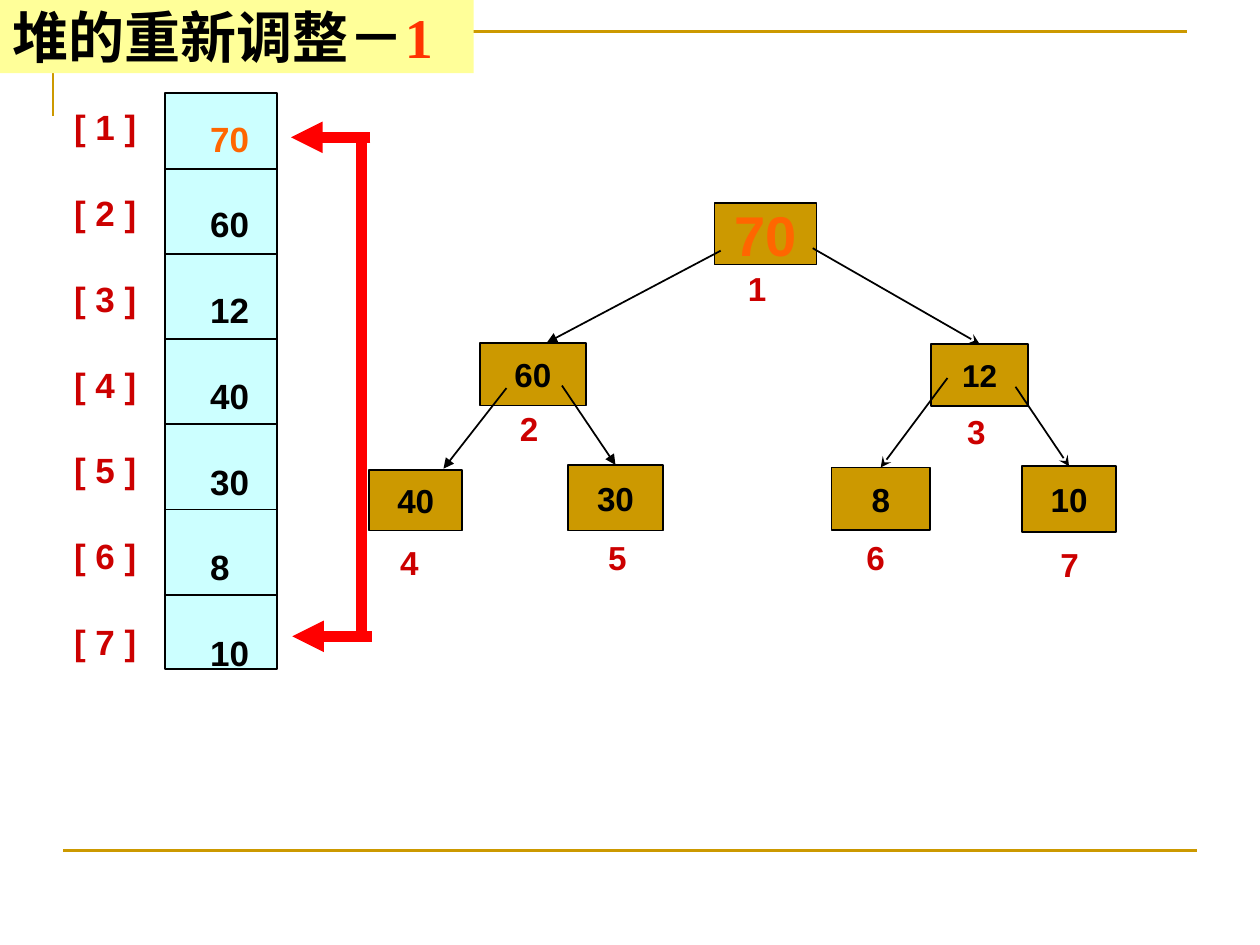
"""Build a slide showing a heap as an array and as a binary tree before re-adjustment."""
from lxml import etree
from pptx import Presentation
from pptx import util as u
from pptx.dml.color import RGBColor
from pptx.enum import shapes, text
from pptx.oxml.ns import qn

COLORS = {"gold": "CC9900", "cell": "CCFFFF", "banner": "FFFF99", "black": "000000",
          "index": "CC0000", "root": "FF6600", "step": "FF3300", "swap": "FF0000"}

TITLE = [("堆的重新调整－", "black"), ("1", "step")]
HEAP = [70, 60, 12, 40, 30, 8, 10]
ARRAY = (1.31, 0.74, 0.89, 4.57)
FIRST_DIVIDER, DIVIDER_GAP = 1.34, 0.676

NODES = [
    {"rect": (5.67, 1.61, 0.81, 0.49), "size": 32, "index": (6.01, 2.29)},
    {"rect": (3.81, 2.72, 0.84, 0.5), "size": 19, "index": (4.2, 3.4)},
    {"rect": (7.39, 2.73, 0.77, 0.49), "size": 18, "index": (7.75, 3.42)},
    {"rect": (2.93, 3.73, 0.74, 0.48), "size": 19, "index": (3.25, 4.46)},
    {"rect": (4.51, 3.69, 0.75, 0.52), "size": 19, "index": (4.9, 4.42)},
    {"rect": (6.6, 3.71, 0.78, 0.5), "size": 19, "index": (6.95, 4.42)},
    {"rect": (8.11, 3.7, 0.75, 0.52), "size": 19, "index": (8.49, 4.48)},
]
EDGES = [
    {"start": (5.72, 1.99), "end": (4.34, 2.72), "head": "triangle"},
    {"start": (6.45, 1.97), "child": 3, "head": "stealth"},
    {"start": (4.02, 3.08), "end": (3.52, 3.72), "head": "triangle"},
    {"start": (4.46, 3.06), "child": 5, "head": "triangle"},
    {"start": (7.52, 3), "child": 6, "head": "stealth"},
    {"start": (8.06, 3.07), "child": 7, "head": "stealth"},
]
SWAP = [
    ((2.87, 1.13), (2.87, 5.04), None),
    ((2.94, 1.09), (2.31, 1.09), "triangle"),
    ((2.95, 5.05), (2.32, 5.05), "triangle"),
]


def rgb(name):
    return RGBColor.from_string(COLORS[name])


def inches(values):
    return [u.Inches(value) for value in values]


def add_line(page, start, end, color="black", width=1, head=None):
    line = page.shapes.add_connector(shapes.MSO_CONNECTOR.STRAIGHT, *inches(start + end))
    line.line.color.rgb = rgb(color)
    line.line.width = u.Pt(width)
    if head:
        etree.SubElement(line.line._get_or_add_ln(), qn("a:tailEnd"), type=head)
    etree.SubElement(line._element.spPr, qn("a:effectLst"))
    return line


def add_rect(page, place, fill, outlined=True):
    rect = page.shapes.add_shape(shapes.MSO_SHAPE.RECTANGLE, *inches(place))
    rect.shadow.inherit = False
    rect.fill.solid()
    rect.fill.fore_color.rgb = rgb(fill)
    if outlined:
        rect.line.color.rgb = rgb("black")
        rect.line.width = u.Pt(1)
    else:
        rect.line.fill.background()
    return rect


def write(shape, paragraphs, size, align, font="Arial", gap=0, margin=0.1,
          anchor=text.MSO_ANCHOR.MIDDLE):
    frame = shape.text_frame
    frame.word_wrap = True
    frame.vertical_anchor = anchor
    frame.margin_left = frame.margin_right = u.Inches(margin)
    frame.margin_top = frame.margin_bottom = u.Inches(margin / 2)
    for number, runs in enumerate(paragraphs):
        para = frame.add_paragraph() if number else frame.paragraphs[0]
        para.alignment = align
        if number:
            para.space_before = u.Pt(gap)
        for words, color in runs:
            span = para.add_run()
            span.text = words
            span.font.name = font
            span.font.size = u.Pt(size)
            span.font.bold = True
            span.font.color.rgb = rgb(color)


def add_column(page, place, paragraphs):
    box = page.shapes.add_textbox(*inches(place))
    write(box, paragraphs, 20, text.PP_ALIGN.LEFT, gap=25, anchor=text.MSO_ANCHOR.TOP)


def value_color(position):
    return "black" if position else "root"


def add_frame(page):
    points = [inches(point) for point in [(0.42, 0.92), (0.42, 0.25), (9.42, 0.25)]]
    builder = page.shapes.build_freeform(*points[0])
    builder.add_line_segments(points[1:], close=False)
    corner = builder.convert_to_shape()
    corner.shadow.inherit = False
    corner.fill.background()
    corner.line.color.rgb = rgb("gold")
    corner.line.width = u.Pt(1.5)
    add_line(page, (0.5, 6.75), (9.5, 6.75), "gold", 1.5)


def add_tree(page):
    nodes = []
    for position, (value, node) in enumerate(zip(HEAP, NODES)):
        rect = add_rect(page, node["rect"], "gold")
        write(rect, [[(str(value), value_color(position))]], node["size"],
              text.PP_ALIGN.CENTER, margin=0)
        nodes.append(rect)
        x, y = node["index"]
        label = page.shapes.add_textbox(*inches((x - 0.28, y - 0.2, 0.56, 0.4)))
        write(label, [[(str(position + 1), "index")]], 19, text.PP_ALIGN.CENTER, margin=0.08)
    for edge in EDGES:
        line = add_line(page, edge["start"], edge.get("end", edge["start"]), head=edge["head"])
        if "child" in edge:
            line.end_connect(nodes[edge["child"] - 1], 0)


def add_array(page):
    add_rect(page, ARRAY, "cell")
    for row in range(len(HEAP) - 1):
        y = FIRST_DIVIDER + row * DIVIDER_GAP
        add_line(page, (1.3, y), (2.2, y))
    add_column(page, (0.49, 0.79, 0.8, 4.42),
               [[(f"[ {row + 1} ]", "index")] for row in range(len(HEAP))])
    add_column(page, (1.57, 0.88, 0.6, 4.42),
               [[(str(value), value_color(row))] for row, value in enumerate(HEAP)])


def main():
    deck = Presentation()
    deck.slide_width, deck.slide_height = inches((10, 7.5))
    page = deck.slides.add_slide(deck.slide_layouts[6])
    add_frame(page)
    add_tree(page)
    add_array(page)
    for start, end, head in SWAP:
        add_line(page, start, end, "swap", 6, head)
    banner = add_rect(page, (0, 0, 3.76, 0.58), "banner", outlined=False)
    write(banner, [TITLE], 32, text.PP_ALIGN.LEFT, font="Times New Roman")
    deck.save("out.pptx")


if __name__ == "__main__":
    main()
